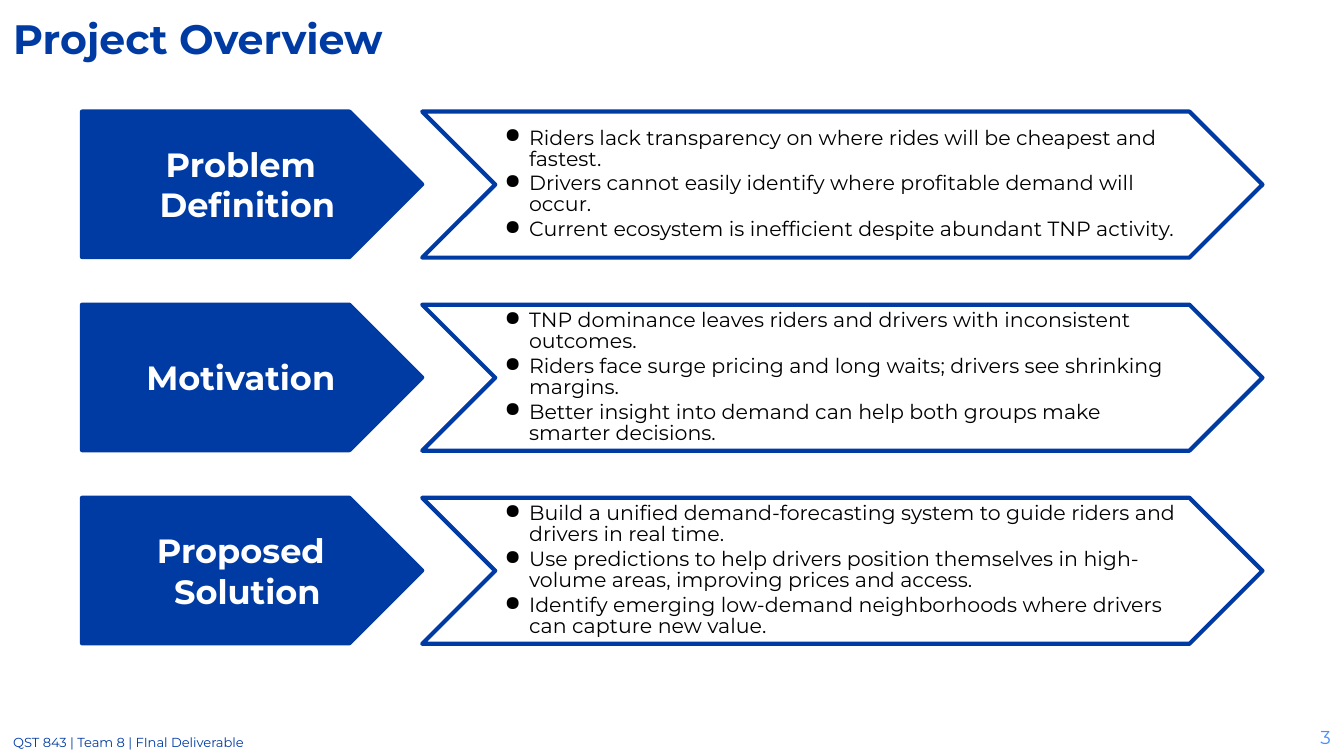
from dataclasses import dataclass

from lxml import etree
from pptx import Presentation
from pptx.dml.color import RGBColor
from pptx.enum import shapes, text
from pptx.oxml.ns import qn
from pptx.util import Cm, Pt


@dataclass(frozen=True)
class Theme:
    font: str = "Montserrat"
    blue: str = "003BA3"
    light_blue: str = "4A8CFF"
    white: str = "FFFFFF"
    black: str = "000000"
    title: float = 22
    heading: float = 18
    body: float = 11
    number: float = 10
    footer: float = 7
    outline: float = 2.25


THEME = Theme()

ROWS = [
    ("Problem Definition", [
        "Riders lack transparency on where rides will be cheapest and fastest.",
        "Drivers cannot easily identify where profitable demand will occur.",
        "Current ecosystem is inefficient despite abundant TNP activity.",
    ]),
    ("Motivation", [
        "TNP dominance leaves riders and drivers with inconsistent outcomes.",
        "Riders face surge pricing and long waits; drivers see shrinking margins.",
        "Better insight into demand can help both groups make smarter decisions.",
    ]),
    ("Proposed Solution", [
        "Build a unified demand-forecasting system to guide riders and drivers in real time.",
        "Use predictions to help drivers position themselves in high-volume areas, "
        "improving prices and access.",
        "Identify emerging low-demand neighborhoods where drivers can capture new value.",
    ]),
]
ROW_TOP, ROW_PITCH = 2.11, 3.65


def set_indent(p, left, first, bullet=None):
    """Set the hanging indent in cm and, if given, a bullet character."""
    pPr = p._p.get_or_add_pPr()
    pPr.set("marL", str(Cm(left)))
    pPr.set("indent", str(Cm(first)))
    if bullet:
        color = etree.SubElement(pPr, qn("a:buClr"))
        etree.SubElement(color, qn("a:srgbClr"), val=THEME.black)
        etree.SubElement(pPr, qn("a:buChar"), char=bullet)


def write(sp, lines, size, color, bold=False, align=text.PP_ALIGN.LEFT,
          anchor=text.MSO_ANCHOR.MIDDLE, inset=0.25, indent=None, bullet=None,
          spacing=None, gap=0):
    tf = sp.text_frame
    tf.word_wrap = True
    tf.vertical_anchor = anchor
    tf.margin_left = tf.margin_right = tf.margin_top = tf.margin_bottom = Cm(inset)
    for i, line in enumerate(lines):
        p = tf.add_paragraph() if i else tf.paragraphs[0]
        p.alignment = align
        p.line_spacing = spacing
        p.space_before = Pt(gap if i else 0)
        if indent:
            set_indent(p, *indent, bullet=bullet)
        r = p.add_run()
        r.text = line
        r.font.name = THEME.font
        r.font.size = Pt(size)
        r.font.bold = bold
        r.font.color.rgb = RGBColor.from_string(color)


def add_label(s, box, line, size, color, **fmt):
    sp = s.shapes.add_textbox(*map(Cm, box))
    write(sp, [line], size, color, **fmt)


def add_arrow(s, kind, box, fill):
    sp = s.shapes.add_shape(kind, *map(Cm, box))
    sp.shadow.inherit = False
    sp.adjustments[0] = 0.5
    sp.fill.solid()
    sp.fill.fore_color.rgb = RGBColor.from_string(fill)
    sp.line.color.rgb = RGBColor.from_string(THEME.blue)
    sp.line.width = Pt(THEME.outline)
    return sp


def add_row(s, top, heading, points):
    sp = add_arrow(s, shapes.MSO_SHAPE.PENTAGON, (1.55, top, 6.43, 2.75), THEME.blue)
    write(sp, [heading], THEME.heading, THEME.white, bold=True,
          align=text.PP_ALIGN.CENTER, inset=0.13, indent=(0.51, -0.25))
    sp = add_arrow(s, shapes.MSO_SHAPE.CHEVRON, (7.98, top, 15.88, 2.76), THEME.white)
    write(sp, points, THEME.body, THEME.black, inset=0.13, indent=(0.51, -0.46),
          bullet="●", spacing=0.85, gap=2)


def main():
    prs = Presentation()
    prs.slide_width, prs.slide_height = Cm(25.4), Cm(14.29)
    s = prs.slides.add_slide(prs.slide_layouts[6])
    add_label(s, (0, 13.77, 5.59, 0.53), "QST 843 | Team 8 | FInal Deliverable",
              THEME.footer, THEME.blue)
    add_label(s, (0, 0, 21.44, 1.6), "Project Overview", THEME.title, THEME.blue,
              bold=True, anchor=text.MSO_ANCHOR.TOP)
    add_label(s, (24.61, 13.44, 0.89, 0.97), "3", THEME.number, THEME.light_blue,
              align=text.PP_ALIGN.CENTER)
    for i, (heading, points) in enumerate(ROWS):
        add_row(s, ROW_TOP + i * ROW_PITCH, heading, points)
    prs.save("out.pptx")


if __name__ == "__main__":
    main()
